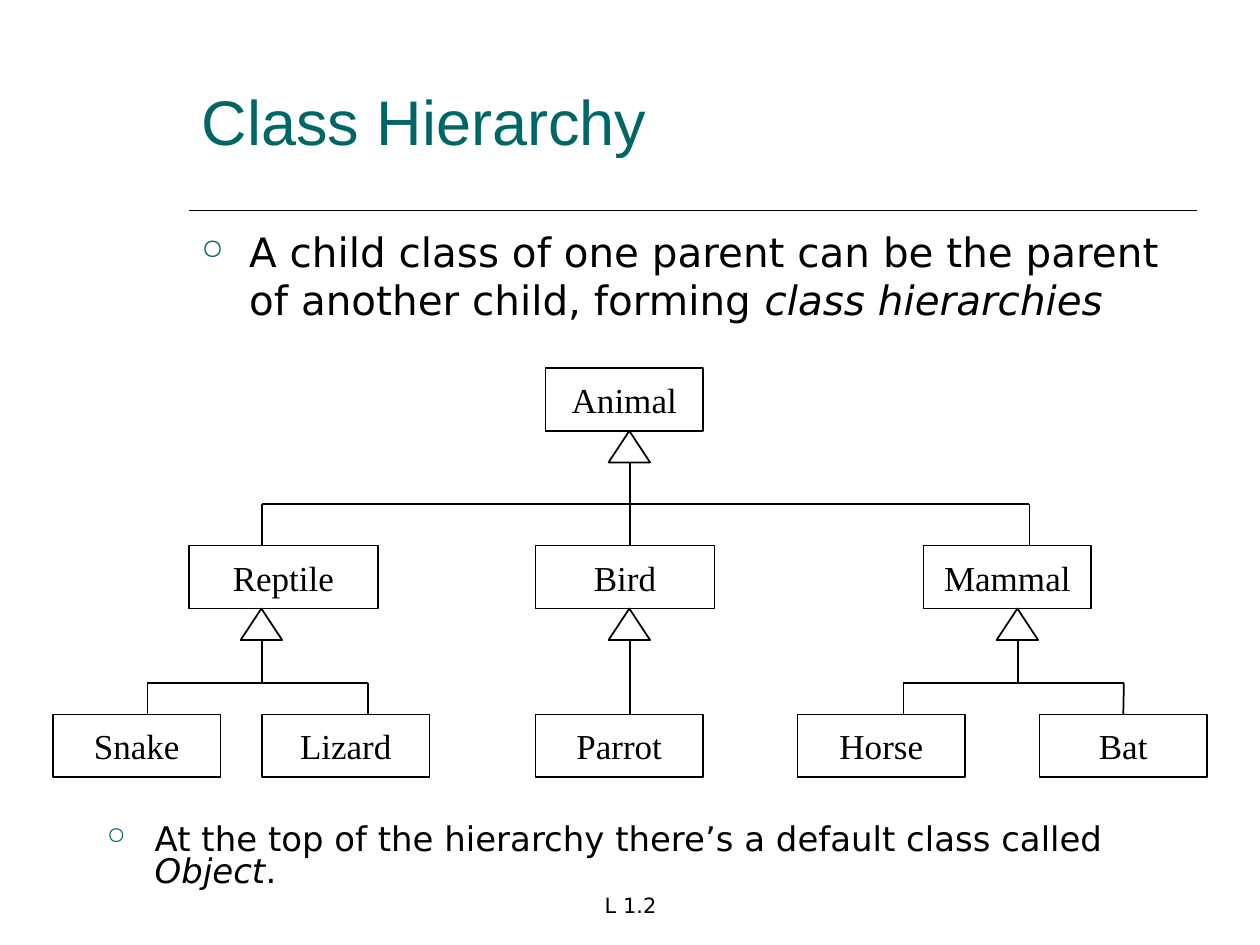
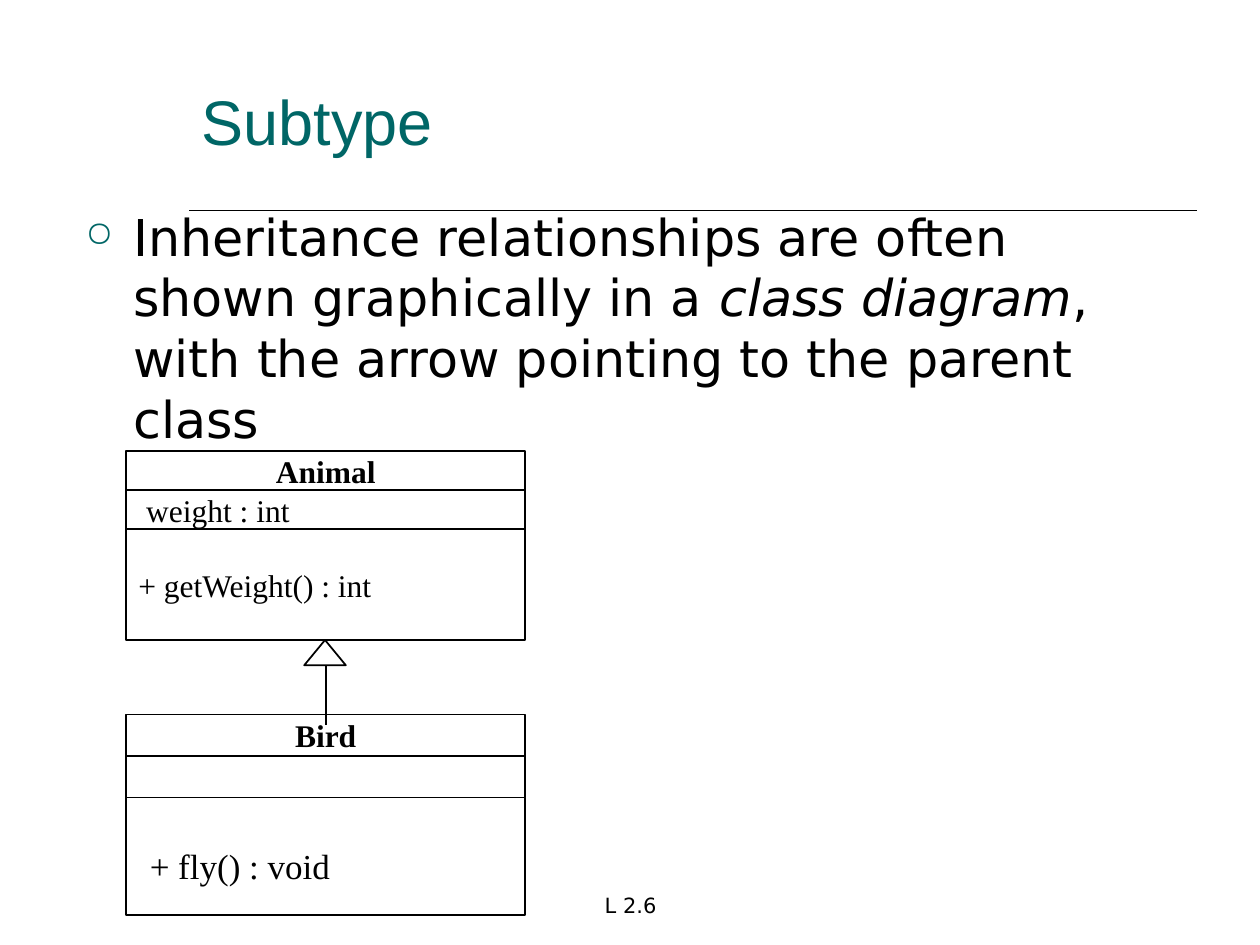
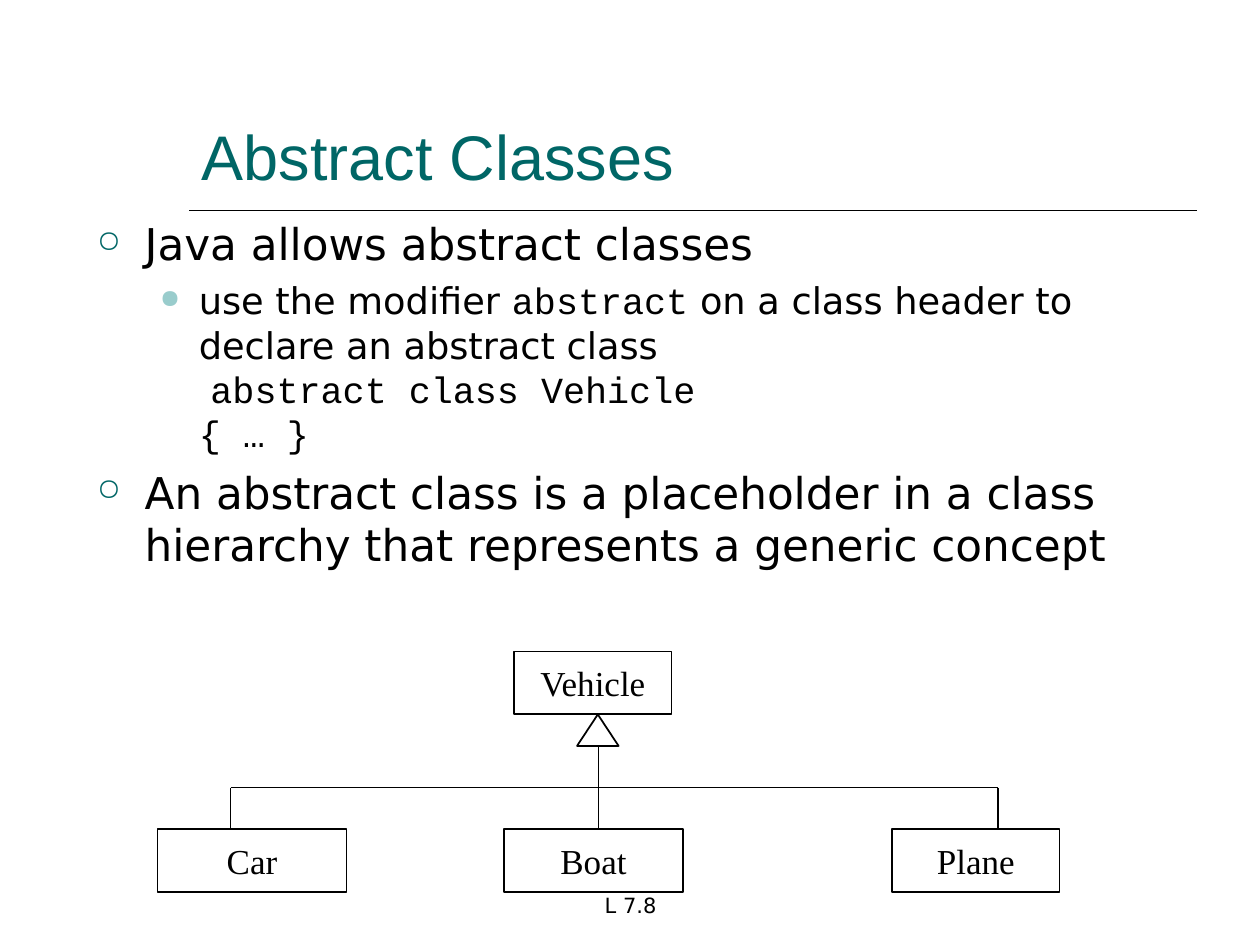
from lxml import etree
from pptx import Presentation
from pptx.dml.color import RGBColor
from pptx.enum.shapes import MSO_CONNECTOR, MSO_SHAPE as SHAPE
from pptx.enum.text import MSO_ANCHOR as ANCHOR, MSO_AUTO_SIZE as FIT, PP_ALIGN as ALIGN
from pptx.oxml.ns import qn
from pptx.util import Inches, Pt

COLORS = {"ink": "000000", "paper": "FFFFFF", "teal": "006666", "aqua": "99CCCC"}
SANS, SERIF, MONO, HEAD = "DejaVu Sans", "Times New Roman", "Courier New", "Arial"
ITALIC, CODE = {"italic": True}, {"name": MONO}

# Bullet levels: character, colour, left margin, hanging indent
BULLETS = [("○", "teal", 0.38, 0.38), ("●", "aqua", 0.81, 0.31)]

# Paragraphs: level, size, space before, line spacing, runs of (text, format)
HIERARCHY_INTRO = [(0, 23.1, 6.2, 1.0, [
    ("A child class of one parent can be the parent of another child, forming ", {}),
    ("class hierarchies", ITALIC)])]
HIERARCHY_NOTE = [(0, 19.4, 6.2, 0.8, [
    ("At the top of the hierarchy there’s a default class called ", {}),
    ("Object", ITALIC), (".", {})])]
SUBTYPE_INTRO = [(0, 29, 7.3, 1.0, [
    ("Inheritance relationships are often shown graphically in a ", {}),
    ("class diagram", ITALIC),
    (", with the arrow pointing to the parent class", {})])]
ABSTRACT_INTRO = [
    (0, 25, 6.2, 1.0, [("Java allows abstract classes", {})]),
    (1, 21, 5.2, 1.0, [
        ("use the modifier ", {}), ("abstract", CODE),
        (" on a class header to declare an abstract class\n ", {}),
        ("abstract class Vehicle\n{ … }", CODE)]),
    (0, 25, 6.2, 1.0, [
        ("An abstract class is a placeholder in a class hierarchy "
         "that represents a generic concept", {})])]

# Class boxes: left, top, width
BOX_H = 0.5
FAMILY_BOXES = [(4.33, 2.92, 1.25), (1.5, 4.33, 1.5), (4.25, 4.33, 1.42), (7.33, 4.33, 1.33)]
LEAF_BOXES = [(left, 5.67, 1.33) for left in (0.42, 2.08, 4.25, 6.33, 8.25)]
ANIMALS = ["Animal", "Reptile", "Bird", "Mammal"]
VEHICLES = ["Vehicle", "Car", "Boat", "Plane"]
SPECIES = ["Snake", "Lizard", "Parrot", "Horse", "Bat"]

# Forks: parent, arrow x, arrow tip y, stem end y, bar y, {child: drop x}
FAMILY_FORK = (0, 5, 3.42, 4.25, 4, {1: 2.08, 2: 5, 3: 8.17})
LEAF_FORKS = [
    (1, 2.08, 4.83, 5.42, 5.42, {4: 1.17, 5: 2.92}),
    (2, 5, 4.83, 5.67, None, {}),
    (3, 8.08, 4.83, 5.42, 5.42, {7: 7.17, 8: 8.92})]

# Class diagrams: top, then compartments of height, text, format, alignment
UML_LEFT, UML_W = 1, 3.17
ANIMAL_CLASS = (3.58, [(0.31, "Animal", {"bold": True}, ALIGN.CENTER),
                       (0.31, " weight : int", {}, ALIGN.LEFT),
                       (0.88, "+ getWeight() : int", {}, ALIGN.LEFT)])
BIRD_CLASS = (5.67, [(0.33, "Bird", {"bold": True}, ALIGN.CENTER),
                     (0.33, "", {}, ALIGN.LEFT),
                     (0.93, "", {}, ALIGN.LEFT)])


def rgb(key):
    return RGBColor.from_string(COLORS[key])


def add_text(p, text, size, font=SANS, color="ink", **style):
    """Add text to a paragraph, turning each newline into a line break."""
    for i, part in enumerate(text.split("\n")):
        if i:
            p.add_line_break()
        r = p.add_run()
        r.text = part
        r.font.color.rgb = rgb(color)
        for name, value in {"name": font, "size": Pt(size), **style}.items():
            setattr(r.font, name, value)


def set_frame(tf, **frame):
    for name, value in {"auto_size": FIT.NONE, "word_wrap": True, **frame}.items():
        setattr(tf, name, value)


def text_box(s, left, top, w, h, **frame):
    tf = s.shapes.add_textbox(*map(Inches, (left, top, w, h))).text_frame
    set_frame(tf, **frame)
    return tf


def add_bullet(p, level):
    char, color, margin, hang = BULLETS[level]
    p.level = level
    pPr = p._p.get_or_add_pPr()
    pPr.set("marL", str(Inches(margin)))
    pPr.set("indent", str(-Inches(hang)))
    clr = etree.SubElement(pPr, qn("a:buClr"))
    etree.SubElement(clr, qn("a:srgbClr"), val=COLORS[color])
    etree.SubElement(pPr, qn("a:buSzPct"), val="70000")
    etree.SubElement(pPr, qn("a:buChar"), char=char)


def bullet_list(s, paragraphs, *at):
    tf = text_box(s, *at)
    for i, (level, size, before, spacing, runs) in enumerate(paragraphs):
        p = tf.add_paragraph() if i else tf.paragraphs[0]
        p.space_before, p.line_spacing = Pt(before), spacing
        add_bullet(p, level)
        for text, style in runs:
            add_text(p, text, size, **style) if "name" not in style else \
                add_text(p, text, size, font=style["name"])


def line(s, x1, y1, x2, y2, end=None, side=0):
    """Draw a line, joined to the end box when it meets the middle of its side."""
    c = s.shapes.add_connector(MSO_CONNECTOR.STRAIGHT, *map(Inches, (x1, y1, x2, y2)))
    c.line.color.rgb = rgb("ink")
    c.line.width = Pt(1)
    etree.SubElement(c._element.spPr, qn("a:effectLst"))
    if end is not None and abs(end.left + end.width / 2 - Inches(x2)) < Inches(0.02):
        c.end_connect(end, side)


def outlined(s, kind, left, top, w, h):
    sp = s.shapes.add_shape(kind, *map(Inches, (left, top, w, h)))
    sp.shadow.inherit = False
    sp.fill.solid()
    sp.fill.fore_color.rgb = rgb("paper")
    sp.line.color.rgb = rgb("ink")
    sp.line.width = Pt(1)
    return sp


def class_box(s, text, left, top, w, h, size=20, align=ALIGN.CENTER, **style):
    sp = outlined(s, SHAPE.RECTANGLE, left, top, w, h)
    if text:
        set_frame(sp.text_frame, word_wrap=False, vertical_anchor=ANCHOR.MIDDLE)
        p = sp.text_frame.paragraphs[0]
        p.alignment = align
        add_text(p, text, size, SERIF, **style)
    return sp


def inherit_arrow(s, x, tip, end, parent, head_h=0.25):
    """Draw a stem up to the parent and a hollow head over it."""
    line(s, x, end, x, tip, parent, side=2)
    outlined(s, SHAPE.ISOSCELES_TRIANGLE, x - 0.17, tip, 0.33, head_h)


def class_tree(s, names, slots, forks, dx=0, dy=0):
    boxes = [class_box(s, name, left + dx, top + dy, w, BOX_H)
             for name, (left, top, w) in zip(names, slots)]
    for parent, x, tip, end, bar, drops in forks:
        if drops:
            xs = [drop + dx for drop in drops.values()]
            line(s, min(xs), bar + dy, max(xs), bar + dy)
            for child, drop in zip(drops, xs):
                line(s, drop, bar + dy, drop, slots[child][1] + dy, boxes[child])
        inherit_arrow(s, x + dx, tip + dy, end + dy, boxes[parent])


def class_diagram(s, top, compartments):
    """Stack the compartments and return the lowest one."""
    for h, text, style, align in compartments:
        sp = class_box(s, text, UML_LEFT, top, UML_W, h, 18, align, **style)
        top += h
    return sp


def new_slide(prs, title, anchor=ANCHOR.MIDDLE):
    s = prs.slides.add_slide(prs.slide_layouts[5])
    sp = s.shapes.title
    sp.left, sp.top, sp.width, sp.height = map(Inches, (1.5, 0.33, 8, 1.25))
    set_frame(sp.text_frame, vertical_anchor=anchor)
    p = sp.text_frame.paragraphs[0]
    p.alignment = ALIGN.LEFT
    add_text(p, title, 36, HEAD, "teal")
    line(s, 1.5, 1.67, 9.5, 1.67)
    return s


def footer(s, label):
    p = text_box(s, 3.42, 6.83, 3.17, 0.5, vertical_anchor=ANCHOR.BOTTOM).paragraphs[0]
    p.alignment = ALIGN.CENTER
    add_text(p, label, 12)


def hierarchy_slide(prs):
    s = new_slide(prs, "Class Hierarchy")
    bullet_list(s, HIERARCHY_INTRO, 1.5, 1.75, 8, 0.89)
    class_tree(s, ANIMALS + SPECIES, FAMILY_BOXES + LEAF_BOXES, [FAMILY_FORK] + LEAF_FORKS)
    bullet_list(s, HIERARCHY_NOTE, 0.75, 6.5, 8.5, 0.75)
    footer(s, "L 1.2")


def subtype_slide(prs):
    s = new_slide(prs, "Subtype")
    bullet_list(s, SUBTYPE_INTRO, 0.58, 1.58, 8.5, 1.58)
    animal = class_diagram(s, *ANIMAL_CLASS)
    class_diagram(s, *BIRD_CLASS)
    inherit_arrow(s, UML_LEFT + UML_W / 2, 5.08, 5.75, animal, head_h=0.2)
    tf = text_box(s, 1.09, 6.65, 1.63, 0.44, word_wrap=False, auto_size=FIT.SHAPE_TO_FIT_TEXT)
    tf.paragraphs[0].alignment = ALIGN.CENTER
    add_text(tf.paragraphs[0], "+ fly() : void", 20, SERIF)
    footer(s, "L 2.6")


def abstract_slide(prs):
    s = new_slide(prs, "Abstract Classes", ANCHOR.BOTTOM)
    bullet_list(s, ABSTRACT_INTRO, 0.67, 1.67, 8.5, 3.17)
    class_tree(s, VEHICLES, FAMILY_BOXES, [FAMILY_FORK], dx=-0.25, dy=2.25)
    footer(s, "L 7.8")


def main():
    prs = Presentation()
    prs.slide_width, prs.slide_height = Inches(10), Inches(7.5)
    hierarchy_slide(prs)
    subtype_slide(prs)
    abstract_slide(prs)
    prs.save("out.pptx")


if __name__ == "__main__":
    main()
